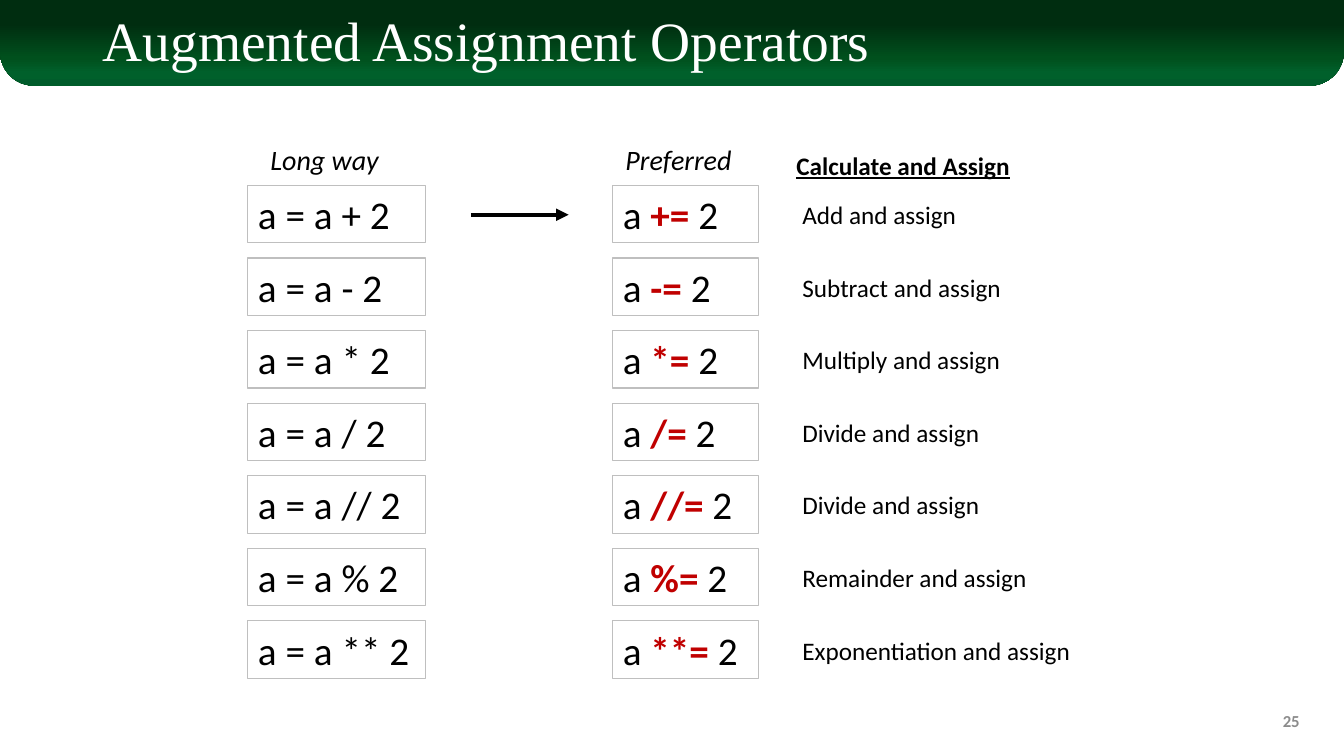
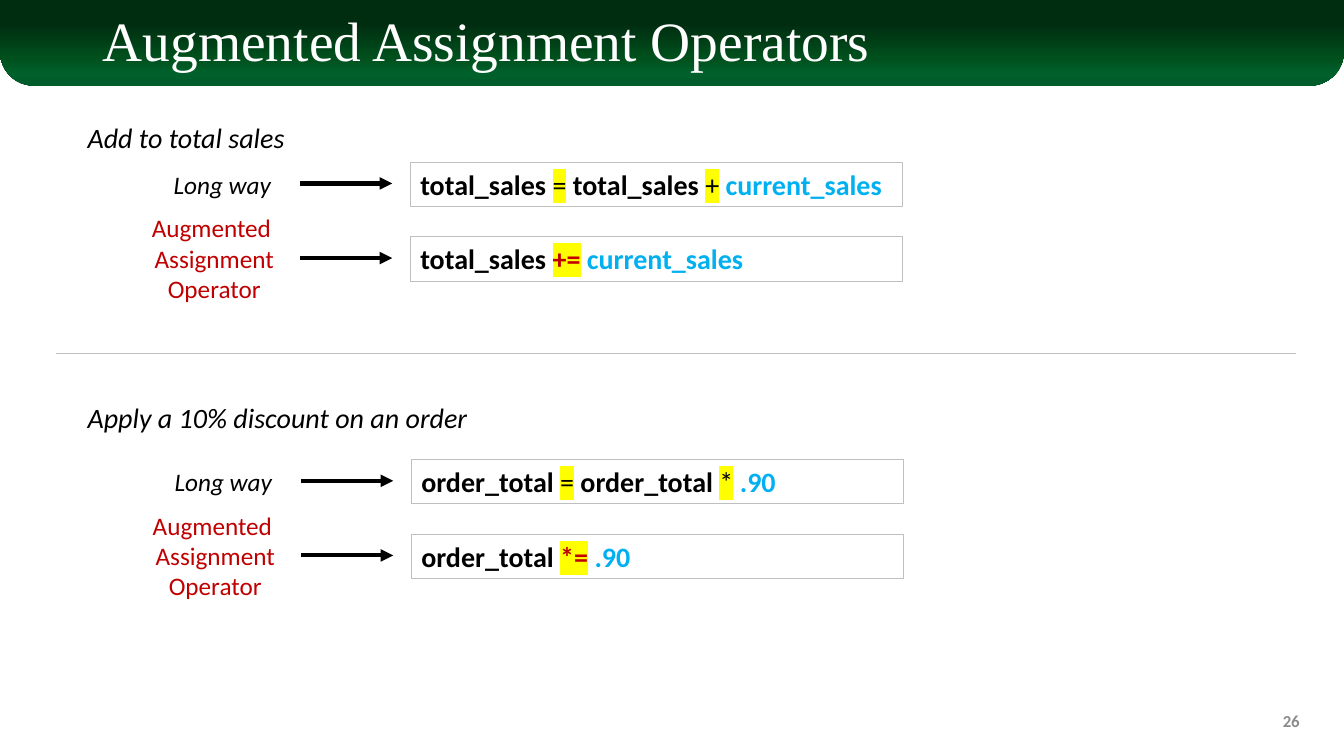
from lxml.etree import SubElement
from pptx import Presentation
from pptx.dml.color import RGBColor
from pptx.enum.shapes import MSO_CONNECTOR, MSO_SHAPE
from pptx.enum.text import MSO_ANCHOR, MSO_AUTO_SIZE, PP_ALIGN
from pptx.oxml.ns import qn
from pptx.util import Inches, Pt

COLORS = {
    "black": "000000", "white": "FFFFFF", "outline": "BFBFBF", "number": "8C8C8C",
    "operator": "C00000", "value": "00B0F0", "marker": "FFFF00",
}
BAND_STOPS = [(28, "002D10"), (68, "00501D"), (85, "00602B"), (100, "005C2B")]
BODY_FONT, TITLE_FONT = "Calibri", "Times New Roman"
SLIDE_WIDTH, SLIDE_HEIGHT = 13.33, 7.5
TITLE = "Augmented Assignment Operators"

# Run styles for code
OPERATOR = {"color": "operator", "bold": True}
MARKED = {"bold": False, "highlight": "marker"}
MARKED_OPERATOR = {"color": "operator", "highlight": "marker"}
VALUE = {"color": "value"}

OPERATIONS = [
    ("+", "Add and assign"),
    ("-", "Subtract and assign"),
    ("*", "Multiply and assign"),
    ("/", "Divide and assign"),
    ("//", "Divide and assign"),
    ("%", "Remainder and assign"),
    ("**", "Exponentiation and assign"),
]


def rgb(name):
    return RGBColor.from_string(COLORS[name])


def add_span(para, text, size=20, color="black", font=BODY_FONT, bold=False,
             italic=False, underline=False, highlight=None):
    span = para.add_run()
    span.text = text
    span.font.size = Pt(size)
    span.font.bold, span.font.italic = bold, italic
    span.font.underline = underline
    span.font.color.rgb = rgb(color)
    if highlight:
        mark = SubElement(span._r.get_or_add_rPr(), qn("a:highlight"))
        SubElement(mark, qn("a:srgbClr"), val=COLORS[highlight])
    span.font.name = font


def add_text(slide, left, top, width, height, *paragraphs, align=PP_ALIGN.LEFT,
             anchor=MSO_ANCHOR.TOP, outlined=False, **style):
    """Each paragraph is a string or a list of (text, style changes) pairs."""
    box = slide.shapes.add_textbox(*map(Inches, (left, top, width, height)))
    if outlined:
        box.line.color.rgb = rgb("outline")
        box.line.width = Pt(0.75)
    frame = box.text_frame
    frame.word_wrap = True
    frame.auto_size = MSO_AUTO_SIZE.NONE
    frame.vertical_anchor = anchor
    for index, content in enumerate(paragraphs):
        para = frame.add_paragraph() if index else frame.paragraphs[0]
        para.alignment = align
        spans = [(content, {})] if isinstance(content, str) else content
        for text, changes in spans:
            add_span(para, text, **{**style, **changes})
    return box


def add_line(slide, left, top, width, color="black", weight=3, arrow=True):
    line = slide.shapes.add_connector(
        MSO_CONNECTOR.STRAIGHT, *map(Inches, (left, top, left + width, top)))
    line.line.color.rgb = rgb(color)
    line.line.width = Pt(weight)
    properties = line.element.spPr
    if arrow:
        SubElement(properties.find(qn("a:ln")), qn("a:tailEnd"), type="triangle")
    SubElement(properties, qn("a:effectLst"))


def add_band(slide):
    """Draw the title band and move it to the slide's layout."""
    band = slide.shapes.add_shape(MSO_SHAPE.ROUND_2_SAME_RECTANGLE, 0, 0,
                                  Inches(SLIDE_WIDTH), Inches(0.85))
    band.adjustments[0], band.adjustments[1] = 0, 0.4
    band.shadow.inherit = False
    band.line.fill.background()
    band.fill.gradient()
    band.fill.gradient_angle = 270
    stops = band.element.spPr.find(qn("a:gradFill")).find(qn("a:gsLst"))
    for stop in list(stops):
        stops.remove(stop)
    for percent, color in BAND_STOPS:
        stop = SubElement(stops, qn("a:gs"), pos=str(percent * 1000))
        SubElement(stop, qn("a:srgbClr"), val=color)
    slide.slide_layout.placeholders[0].element.addprevious(band.element)


def add_titled_slide(deck, number):
    slide = deck.slides.add_slide(deck.slide_layouts[5])
    title = slide.shapes.title
    title.left, title.top = Inches(0.92), Inches(0.13)
    title.width, title.height = Inches(11.5), Inches(0.61)
    frame = title.text_frame
    frame.auto_size = MSO_AUTO_SIZE.NONE
    frame.vertical_anchor = MSO_ANCHOR.MIDDLE
    para = frame.paragraphs[0]
    para.alignment = PP_ALIGN.LEFT
    para.line_spacing = 0.9
    add_span(para, TITLE, size=39.6, color="white", font=TITLE_FONT)
    add_text(slide, 9.99, 6.95, 3, 0.4, str(number), align=PP_ALIGN.RIGHT,
             anchor=MSO_ANCHOR.MIDDLE, size=12, color="number", bold=True)
    return slide


def add_operator_grid(slide, left, top, pitch=0.72):
    # Column headings
    for offset, heading in ((-0.04, "Long way"), (3.47, "Preferred")):
        add_text(slide, left + offset, top - 0.48, 1.6, 0.44, heading,
                 align=PP_ALIGN.CENTER, italic=True)
    add_text(slide, left + 5.34, top - 0.4, 2.33, 0.4, "Calculate and Assign",
             size=18, bold=True, underline=True)
    add_line(slide, left + 2.21, top + 0.29, 0.97)
    # One row for each operator
    for row, (symbol, meaning) in enumerate(OPERATIONS):
        y = top + row * pitch
        add_text(slide, left, y, 1.76, 0.57, f"a = a {symbol} 2", size=28, outlined=True)
        add_text(slide, left + 3.62, y, 1.44, 0.57,
                 [("a ", {}), (f"{symbol}=", OPERATOR), (" 2", {})],
                 size=28, outlined=True)
        add_text(slide, left + 5.4, y + 0.09, 3, 0.4, meaning, size=18)


def add_comparison(slide, left, top, heading, heading_top, variable, symbol, value):
    add_text(slide, 0.77, heading_top, 4.11, 0.44, heading, italic=True)
    long_way = [(f"{variable} ", {}), ("=", MARKED), (f" {variable} ", {}),
                (symbol, MARKED), (" ", {}), (value, VALUE)]
    augmented = [(f"{variable} ", {}), (f"{symbol}=", MARKED_OPERATOR),
                 (" ", {}), (value, VALUE)]
    for row, code in enumerate((long_way, augmented)):
        y = top + row * 0.74
        add_line(slide, left + 1.71, y + 0.21, 0.91)
        add_text(slide, left + 2.8, y, 4.88, 0.44, code, bold=True, outlined=True)
    # Row labels
    add_text(slide, left + 0.08, top + 0.02, 1.71, 0.4, "Long way",
             align=PP_ALIGN.CENTER, size=18, italic=True)
    add_text(slide, left, top + 0.45, 1.71, 1.01, "Augmented ", "Assignment Operator",
             align=PP_ALIGN.CENTER, size=18, color="operator")


def main():
    deck = Presentation()
    deck.slide_width, deck.slide_height = Inches(SLIDE_WIDTH), Inches(SLIDE_HEIGHT)

    # Operator overview
    overview = add_titled_slide(deck, 25)
    add_band(overview)
    add_operator_grid(overview, 2.46, 1.84)

    # Worked examples
    examples = add_titled_slide(deck, 26)
    add_comparison(examples, 1.27, 1.61, "Add to total sales", 1.15,
                   "total_sales", "+", "current_sales")
    add_line(examples, 0.56, 3.51, 12.29, color="outline", weight=0.5, arrow=False)
    add_comparison(examples, 1.28, 4.56, "Apply a 10% discount on an order", 3.92,
                   "order_total", "*", ".90")

    deck.save("out.pptx")


if __name__ == "__main__":
    main()
